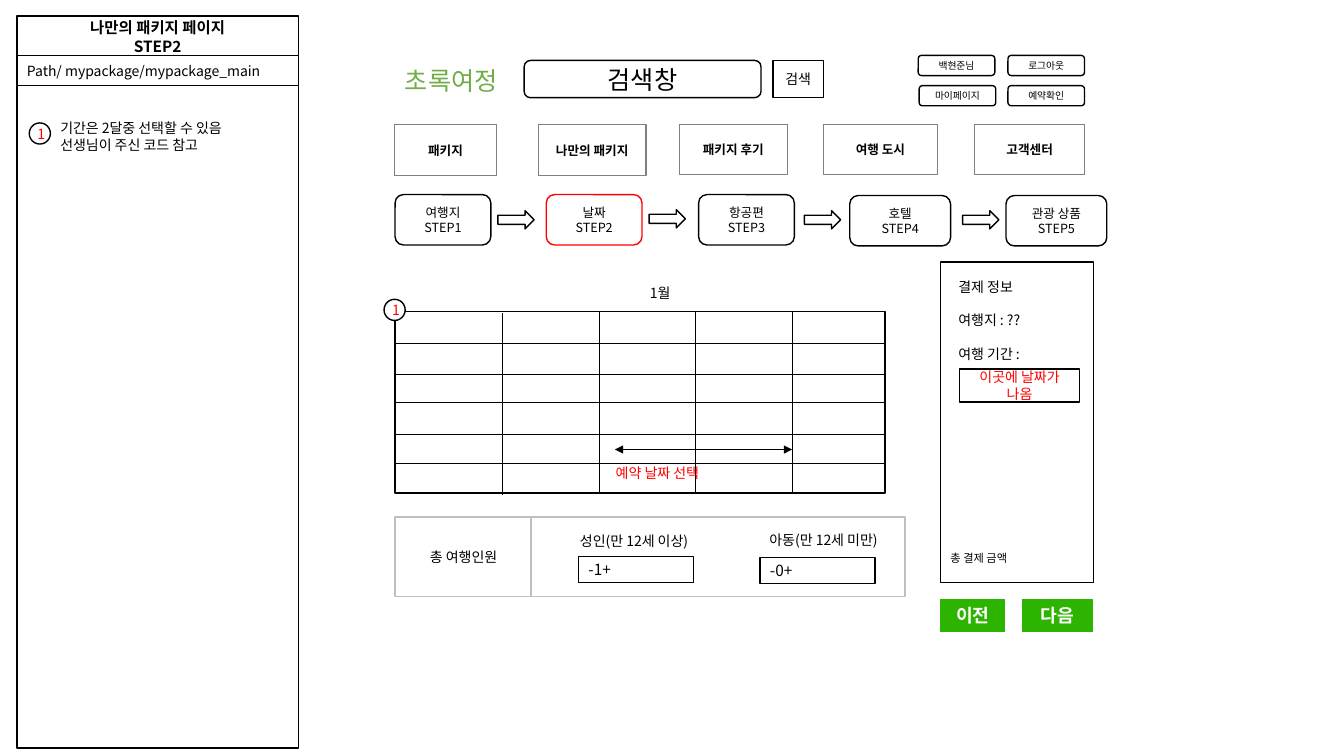
from lxml import etree
from pptx import Presentation
from pptx.dml.color import RGBColor
from pptx.enum.shapes import MSO_CONNECTOR, MSO_SHAPE
from pptx.enum.text import MSO_ANCHOR, MSO_AUTO_SIZE, PP_ALIGN
from pptx.oxml.ns import qn
from pptx.util import Pt

RECT, ROUND = MSO_SHAPE.RECTANGLE, MSO_SHAPE.ROUNDED_RECTANGLE
OVAL, ARROW = MSO_SHAPE.OVAL, MSO_SHAPE.RIGHT_ARROW
LEFT, CENTER, JUSTIFY = PP_ALIGN.LEFT, PP_ALIGN.CENTER, PP_ALIGN.JUSTIFY
TOP, MIDDLE = MSO_ANCHOR.TOP, MSO_ANCHOR.MIDDLE
FIXED, GROW = MSO_AUTO_SIZE.NONE, MSO_AUTO_SIZE.SHAPE_TO_FIT_TEXT
FONT = "Noto Sans CJK KR"
BLACK, WHITE, RED = "000000", "FFFFFF", "FF0000"
GREEN, LOGO_GREEN, GREY, LIGHT_GREY = "2DB400", "70AD47", "808080", "BFBFBF"
color = RGBColor.from_string

prs = Presentation()
prs.slide_width, prs.slide_height = Pt(960), Pt(540)
slide = prs.slides.add_slide(prs.slide_layouts[5])


def write(target, text, size=10, ink=BLACK, bold=False, align=CENTER,
          anchor=MIDDLE, wrap=True, side=7.2, gap=0):
    """Fill target with text, one paragraph per line, gap points apart."""
    frame = target.text_frame
    frame.text = text
    frame.word_wrap = wrap
    frame.vertical_anchor = anchor
    frame.auto_size = GROW if anchor == TOP else FIXED
    frame.margin_left = frame.margin_right = Pt(side)
    frame.margin_top = frame.margin_bottom = Pt(3.6)
    for index, paragraph in enumerate(frame.paragraphs):
        paragraph.alignment = align
        paragraph.space_before = Pt(gap if index else 0)
        for run in paragraph.runs:
            run.font.name, run.font.size, run.font.bold = FONT, Pt(size), bold
            run.font.color.rgb = color(ink)
            etree.SubElement(run.font._element, qn("a:ea"), typeface=FONT)


def box(kind, left, top, width, height, fill=WHITE, line=BLACK, weight=1):
    shape = slide.shapes.add_shape(kind, Pt(left), Pt(top), Pt(width), Pt(height))
    shape.shadow.inherit = False
    if fill:
        shape.fill.solid()
        shape.fill.fore_color.rgb = color(fill)
    else:
        shape.fill.background()
    shape.line.color.rgb = color(line)
    shape.line.width = Pt(weight)
    return shape


# Description panel
box(RECT, 12.2, 50.4, 201, 483.8)
title = slide.shapes.title
title.left, title.top, title.width, title.height = Pt(12.2), Pt(11.5), Pt(201), Pt(29.5)
title.fill.solid()
title.fill.fore_color.rgb = color(WHITE)
title.line.color.rgb = color(BLACK)
title.line.width = Pt(1)
write(title, "나만의 패키지 페이지\nSTEP2", size=11, bold=True)
write(box(RECT, 12.2, 39.6, 201, 21.6), "Path/ mypackage/mypackage_main", align=LEFT)

# Header: account buttons and search
for left, top, account in [(655.9, 39.6, "백현준님"), (720, 39.6, "로그아웃"),
                           (656.6, 61.2, "마이페이지"), (720, 61.2, "예약확인")]:
    write(box(ROUND, left, top, 54.7, 14.4), account, size=7)
write(box(ROUND, 374.4, 43.2, 169.2, 26.6), "검색창", size=18)
write(box(RECT, 552.2, 43.2, 36, 26.6), "검색")

# Menu
for left, top, width, menu in [(281.5, 89.3, 73.4, "패키지"), (384.5, 89.3, 77, "나만의 패키지"),
                               (485.3, 88.6, 77, "패키지 후기"), (588.2, 88.6, 81.4, "여행 도시"),
                               (696.2, 88.6, 78.5, "고객센터")]:
    menu_box = box(RECT, left, top, width, 36, fill=None, line=GREY, weight=0.75)
    write(menu_box, menu, size=9, bold=True, wrap=False, side=2.9)

# Booking steps
steps = [(282.2, 139, 68.4, "여행지"), (390.2, 139, 68.4, "날짜"), (499, 139, 68.4, "항공편"),
         (607, 139.7, 72, "호텔"), (718.6, 139.7, 72, "관광 상품")]
for number, (left, top, width, step) in enumerate(steps, 1):
    step_box = box(ROUND, left, top, width, 36, line=RED if number == 2 else BLACK)
    write(step_box, f"{step}\nSTEP{number}", size=9)
for left, top in [(355.7, 150.5), (463.7, 149.8), (574.6, 150.5), (687.6, 150.5)]:
    box(ARROW, left, top, 25.9, 13)

# Calendar
cal_left, cal_top, cal_right, cal_bottom = 282.2, 222.5, 632.2, 352.1
box(RECT, cal_left, cal_top, cal_right - cal_left, cal_bottom - cal_top, fill=None)
rules = [(cal_left, y, cal_right, y) for y in (245.5, 267.1, 287.3, 310.3, 331.2)]
rules += [(x, cal_top, x, cal_bottom) for x in (428.4, 496.8, 565.9)]
rules.append((358.6, cal_top + 1.4, 358.6, cal_bottom + 1.4))
date_range = (439.2, 321.1, 565.9, 321.1)
for ends in rules + [date_range]:
    rule = slide.shapes.add_connector(MSO_CONNECTOR.STRAIGHT, *map(Pt, ends))
    rule.line.color.rgb = color(BLACK)
    rule.line.width = Pt(0.5)
    if ends == date_range:
        for end in ("a:headEnd", "a:tailEnd"):
            etree.SubElement(rule.line._get_or_add_ln(), qn(end), type="triangle")
    etree.SubElement(rule._element.spPr, qn("a:effectLst"))

# Payment panel
box(RECT, 671.8, 187.2, 109.4, 229, fill=None)
write(box(RECT, 685.4, 263.5, 85.7, 23.8), "이곳에 날짜가 나옴", ink=RED)
for left, width, button in [(671.8, 46.1, "이전"), (730.1, 50.4, "다음")]:
    button_box = box(RECT, left, 428.4, width, 23, fill=GREEN, line=GREEN, weight=0.75)
    write(button_box, button, size=13, ink=WHITE, bold=True, anchor=TOP)

# Travellers
write(box(RECT, 282.2, 369.4, 97.9, 56.9, line=LIGHT_GREY), "총 여행인원")
box(RECT, 379.4, 369.4, 267.1, 56.9, line=LIGHT_GREY)
for left, top, group, count_left, count_top, count in [
        (401.8, 378.7, "성인(만 12세 이상)", 413.3, 397.4, "-1+"),
        (537.1, 378, "아동(만 12세 미만)", 542.9, 398.2, "-0+")]:
    write(box(RECT, left, top, 102.2, 15.1, line=WHITE), group)
    write(box(RECT, count_left, count_top, 82.1, 18.7), count, size=11, align=JUSTIFY)

# Free-standing texts
for left, top, width, height, text, style in [
        (282.2, 43.2, 88.6, 28.8, "초록여정", {"size": 18, "ink": LOGO_GREEN}),
        (677.5, 195.1, 100.8, 67.7, "결제 정보\n여행지 : ??\n여행 기간 :", {"gap": 12}),
        (671.8, 390.2, 109.4, 17.3, "총 결제 금액", {"size": 8}),
        (358.6, 199.4, 226.1, 23, "1월", {"align": CENTER}),
        (432.7, 328.3, 145.4, 23, "예약 날짜 선택", {"ink": RED}),
        (36, 82.1, 156.2, 31.7, "기간은 2달중 선택할 수 있음\n선생님이 주신 코드 참고", {})]:
    caption = slide.shapes.add_textbox(Pt(left), Pt(top), Pt(width), Pt(height))
    write(caption, text, **{"align": LEFT, "anchor": TOP, **style})

# Callout markers linking the note to the calendar
for left, top in [(20.9, 87.8), (274.3, 213.8)]:
    write(box(OVAL, left, top, 15.1, 15.1), "1", ink=RED)

prs.save("out.pptx")
